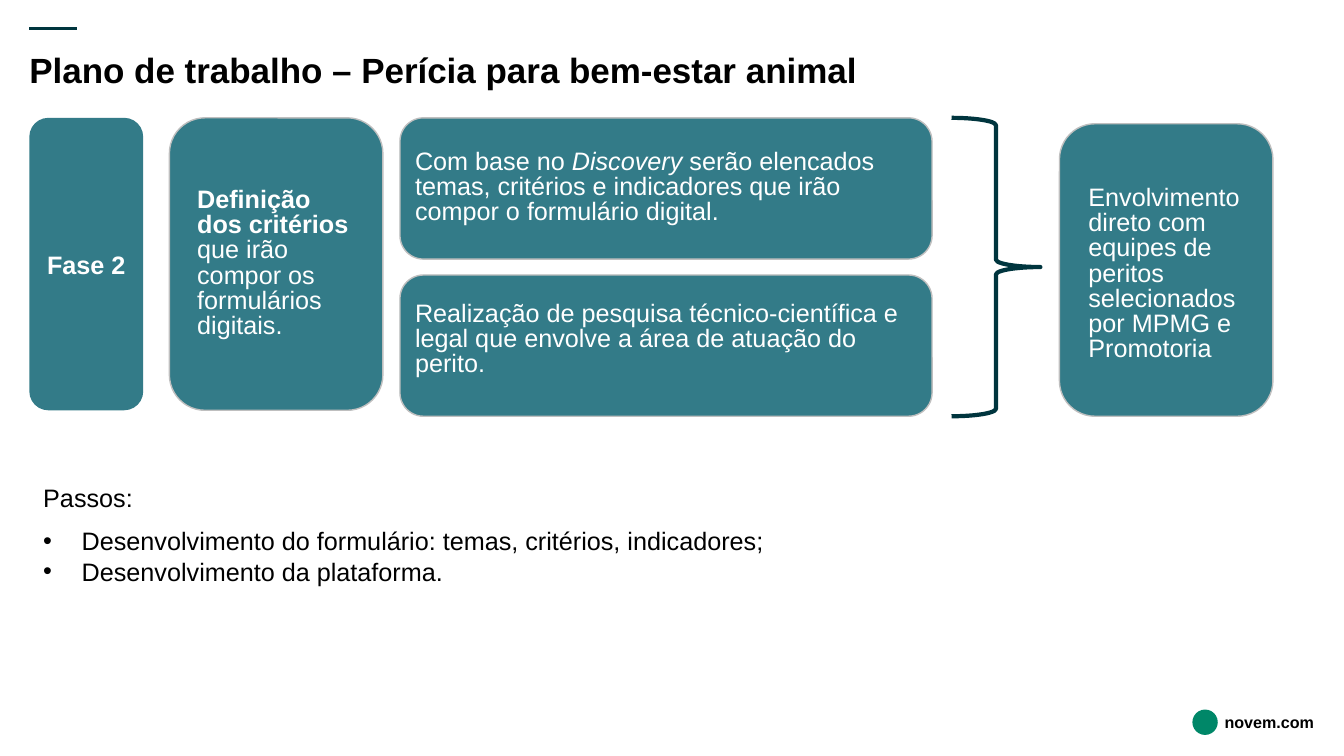
from dataclasses import dataclass
from typing import Optional

from lxml.etree import SubElement
from pptx import Presentation
from pptx.dml.color import RGBColor
from pptx.enum.shapes import MSO_CONNECTOR, MSO_SHAPE
from pptx.enum.text import MSO_ANCHOR, MSO_AUTO_SIZE, PP_ALIGN
from pptx.oxml.ns import qn
from pptx.util import Cm, Pt

TEAL = RGBColor(0x00, 0x5B, 0x6B)
DARK = RGBColor(0x00, 0x35, 0x3E)
GREEN = RGBColor(0x00, 0x87, 0x68)
GREY = RGBColor(0xBF, 0xBF, 0xBF)
WHITE = RGBColor(0xFF, 0xFF, 0xFF)
BLACK = RGBColor(0x00, 0x00, 0x00)
FONT = "Arial"
TOP = 2.97
TALL = 7.37
SLIM = 5.38
LONG = 13.41


@dataclass
class Box:
    left: float
    top: float
    width: float
    height: float

    def place(self) -> tuple:
        return Cm(self.left), Cm(self.top), Cm(self.width), Cm(self.height)


@dataclass
class Span:
    text: str
    bold: bool = False
    slant: bool = False


@dataclass
class Card:
    box: Box
    note: Box
    spans: list[Span]


CARDS = [
    Card(Box(4.27, TOP, SLIM, TALL), Box(4.72, 4.62, 4.42, 4.11),
         [Span("Definição dos critérios ", bold=True),
          Span("que irão compor os formulários digitais.")]),
    Card(Box(10.08, TOP, LONG, 3.56), Box(10.21, 3.66, 13.18, 2.18),
         [Span("Com base no "), Span("Discovery", slant=True),
          Span(" serão elencados temas, critérios e indicadores que irão "
               "compor o formulário digital.")]),
    Card(Box(10.08, 6.93, LONG, 3.56), Box(10.21, 7.49, 13.18, 2.18),
         [Span("Realização de pesquisa técnico-científica e legal que "
               "envolve a área de atuação do perito.")]),
    Card(Box(26.7, 3.12, SLIM, TALL), Box(27.18, 4.57, 4.42, 4.75),
         [Span("Envolvimento direto com equipes de peritos selecionados "
               "por MPMG e Promotoria")]),
]
STEPS = [
    "Passos:",
    "Desenvolvimento do formulário: temas, critérios, indicadores;",
    "Desenvolvimento da plataforma.",
]


def style(run, color: RGBColor, size: float = 18, bold: bool = False,
          slant: bool = False) -> None:
    font = run.font
    font.name, font.size = FONT, Pt(size)
    font.bold, font.italic = bold, slant
    font.color.rgb = color


def panel(slide, box: Box, line: Optional[RGBColor] = None):
    shape = slide.shapes.add_shape(MSO_SHAPE.ROUNDED_RECTANGLE, *box.place())
    shape.shadow.inherit = False
    shape.fill.solid()
    shape.fill.fore_color.rgb = TEAL
    tint = shape._element.spPr.find(qn("a:solidFill"))[0]
    SubElement(tint, qn("a:alpha")).set("val", "80000")
    if line is None:
        shape.line.fill.background()
    else:
        shape.line.color.rgb = line
        shape.line.width = Pt(1)
    return shape


def label(slide, box: Box, wrap: bool = True):
    frame = slide.shapes.add_textbox(*box.place()).text_frame
    frame.word_wrap = wrap
    return frame


def flush(frame) -> None:
    frame.margin_left = frame.margin_right = 0
    frame.margin_top = frame.margin_bottom = 0


def draw(slide, card: Card) -> None:
    panel(slide, card.box, GREY)
    para = label(slide, card.note).paragraphs[0]
    para.line_spacing = Pt(18)
    para.space_before = para.space_after = Pt(12)
    for span in card.spans:
        run = para.add_run()
        run.text = span.text
        style(run, WHITE, bold=span.bold, slant=span.slant)


def head(slide) -> None:
    rule = slide.shapes.add_connector(
        MSO_CONNECTOR.STRAIGHT, Cm(0.74), Cm(0.71), Cm(1.93), Cm(0.71))
    rule.line.color.rgb = DARK
    rule.line.width = Pt(2)
    SubElement(rule._element.spPr, qn("a:effectLst"))

    title = slide.shapes.title
    title.left, title.top, title.width, title.height = Box(
        0.74, 1.22, 32.39, 1.8).place()
    frame = title.text_frame
    frame.text = "Plano de trabalho – Perícia para bem-estar animal"
    frame.auto_size = MSO_AUTO_SIZE.NONE
    frame.vertical_anchor = MSO_ANCHOR.TOP
    flush(frame)
    para = frame.paragraphs[0]
    para.alignment = PP_ALIGN.LEFT
    style(para.runs[0], BLACK, 25, bold=True)


def phase(slide) -> None:
    frame = panel(slide, Box(0.74, TOP, 2.87, TALL)).text_frame
    frame.text = "Fase 2"
    frame.word_wrap = True
    frame.vertical_anchor = MSO_ANCHOR.MIDDLE
    para = frame.paragraphs[0]
    para.alignment = PP_ALIGN.CENTER
    style(para.runs[0], WHITE, bold=True)


def brace(slide) -> None:
    shape = slide.shapes.add_shape(
        MSO_SHAPE.RIGHT_BRACE, *Box(23.98, TOP, 2.24, 7.52).place())
    shape.shadow.inherit = False
    shape.fill.background()
    shape.line.color.rgb = DARK
    shape.line.width = Pt(3)


def steps(slide) -> None:
    frame = label(slide, Box(0.84, 12.04, 27.08, 2.9))
    frame.text = "\n".join(STEPS)
    first, *rest = frame.paragraphs
    first.space_after = Pt(9)
    rest[-1].space_after = Pt(12)
    for para in frame.paragraphs:
        para.alignment = PP_ALIGN.JUSTIFY
        style(para.runs[0], BLACK)
    for para in rest:
        props = para._p.get_or_add_pPr()
        props.set("marL", str(Cm(0.97)))
        props.set("indent", str(-Cm(0.97)))
        SubElement(props, qn("a:buFont")).set("typeface", FONT)
        SubElement(props, qn("a:buChar")).set("char", "•")


def foot(slide) -> None:
    dot = slide.shapes.add_shape(
        MSO_SHAPE.OVAL, *Box(30.05, 17.88, 0.64, 0.64).place())
    dot.shadow.inherit = False
    dot.fill.solid()
    dot.fill.fore_color.rgb = GREEN
    dot.line.fill.background()
    frame = label(slide, Box(30.86, 17.95, 2.3, 0.5), wrap=False)
    flush(frame)
    frame.text = "novem.com"
    style(frame.paragraphs[0].runs[0], BLACK, 11.5, bold=True)


def main() -> None:
    deck = Presentation()
    deck.slide_width, deck.slide_height = Cm(33.87), Cm(19.05)
    slide = deck.slides.add_slide(deck.slide_layouts[5])
    head(slide)
    phase(slide)
    for card in CARDS:
        draw(slide, card)
    brace(slide)
    steps(slide)
    foot(slide)
    deck.save("out.pptx")


if __name__ == "__main__":
    main()
